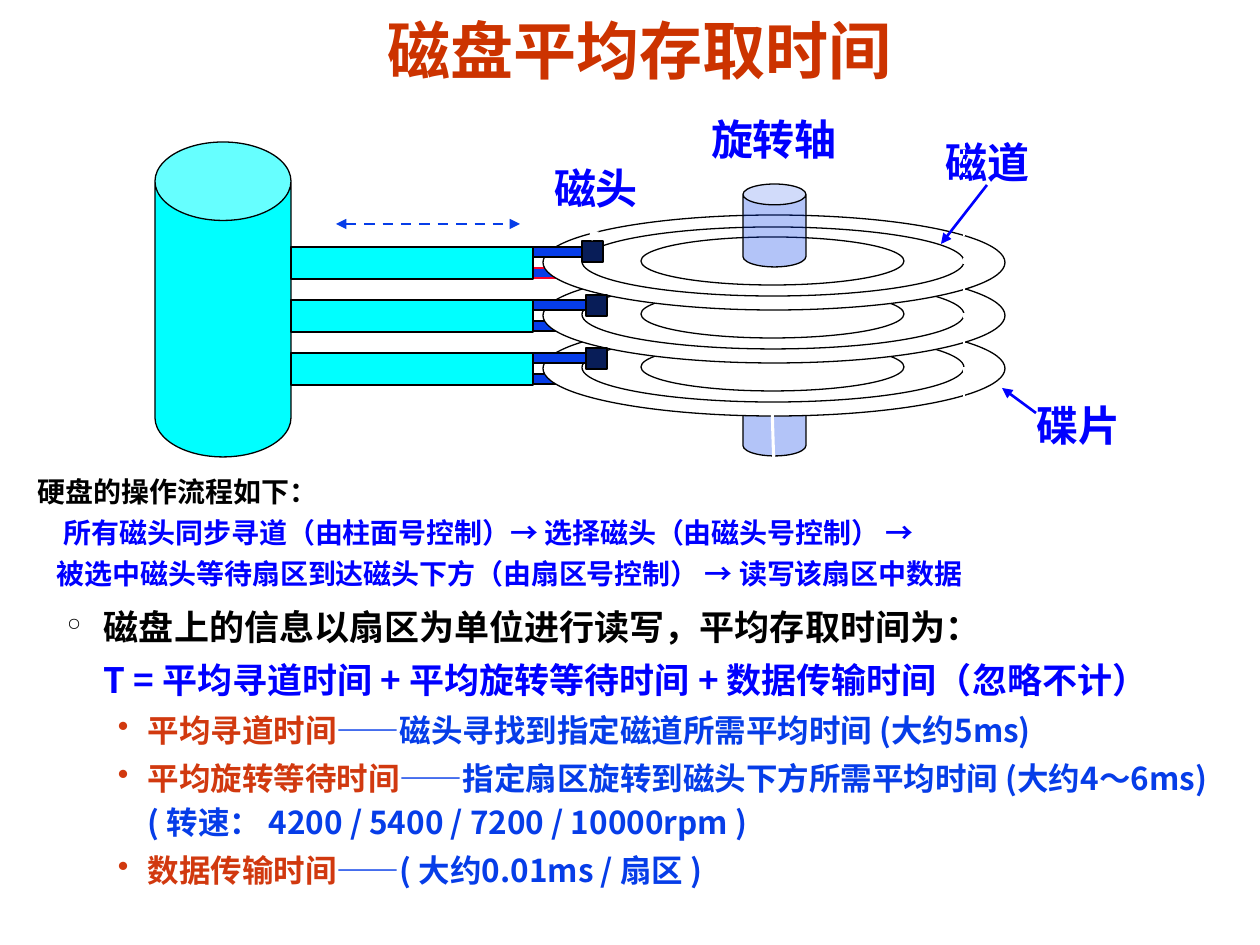
from lxml import etree
from pptx import Presentation
from pptx.dml.color import RGBColor
from pptx.enum.dml import MSO_LINE
from pptx.enum.shapes import MSO_CONNECTOR, MSO_SHAPE
from pptx.enum.text import MSO_ANCHOR, PP_ALIGN
from pptx.oxml.ns import qn
from pptx.util import Pt

SCALE = 914400 / 126
CAN, OVAL, RECT = MSO_SHAPE.CAN, MSO_SHAPE.OVAL, MSO_SHAPE.RECTANGLE
STRAIGHT, DASH = MSO_CONNECTOR.STRAIGHT, MSO_LINE.DASH
TOP, MIDDLE = MSO_ANCHOR.TOP, MSO_ANCHOR.MIDDLE
CENTER, LEFT = PP_ALIGN.CENTER, PP_ALIGN.LEFT

BLACK = RGBColor(0x00, 0x00, 0x00)
WHITE = RGBColor(0xFF, 0xFF, 0xFF)
BLUE = RGBColor(0x00, 0x00, 0xFF)
ROYAL = RGBColor(0x06, 0x3D, 0xE8)
NAVY = RGBColor(0x08, 0x1D, 0x58)
CYAN = RGBColor(0x00, 0xFF, 0xFF)
RED = RGBColor(0xFC, 0x01, 0x28)
TITLE_RED = RGBColor(0xCC, 0x33, 0x00)
TERM_RED = RGBColor(0xD1, 0x39, 0x0F)
ARIAL, NOTO = "Arial", "Noto Sans CJK SC"


def px(length):
    return round(length * SCALE)


def add_part(slide, kind, box, fill, line=BLACK, adj=None, alpha=None):
    part = slide.shapes.add_shape(kind, *map(px, box))
    part.shadow.inherit = False
    part.fill.solid()
    part.fill.fore_color.rgb = fill
    part.line.color.rgb = line
    part.line.width = Pt(0.75)
    if adj is not None:
        part.adjustments[0] = adj
    if alpha is not None:
        color = part._element.spPr.find(qn("a:solidFill"))[0]
        etree.SubElement(color, qn("a:alpha"), val=str(alpha * 1000))


def add_line(slide, start, end, color, width, dashed=False, heads=()):
    line = slide.shapes.add_connector(STRAIGHT, *map(px, (*start, *end)))
    line.line.color.rgb = color
    line.line.width = Pt(width)
    if dashed:
        line.line.dash_style = DASH
    for head in heads:
        etree.SubElement(line.line._get_or_add_ln(), qn("a:" + head), type="triangle")
    etree.SubElement(line._element.spPr, qn("a:effectLst"))


def add_text(slide, box, anchor=TOP, inset=(13, 6)):
    frame = slide.shapes.add_textbox(*map(px, box)).text_frame
    frame.word_wrap = True
    frame.vertical_anchor = anchor
    frame.margin_left = frame.margin_right = px(inset[0])
    frame.margin_top = frame.margin_bottom = px(inset[1])
    return frame


def add_paragraph(frame, parts, size, font, spacing=1.0, before=0, align=LEFT,
                  margin=0, hanging=0, bullet=None):
    """Write one paragraph; parts is a list of (wording, colour)."""
    first = frame.paragraphs[0]
    para = frame.add_paragraph() if first.runs else first
    para.alignment = align
    para.line_spacing = spacing
    para.space_before = Pt(before)
    para.font.size, para.font.name, para.font.bold = Pt(size), font, True
    props = para._p.get_or_add_pPr()
    props.set("marL", str(px(margin)))
    props.set("indent", str(-px(hanging)))
    if bullet:
        mark = etree.Element(qn("a:buChar"), char=bullet)
        props.find(qn("a:defRPr")).addprevious(mark)
    for wording, color in parts:
        run = para.add_run()
        run.text = wording
        run.font.color.rgb = color


def add_title(slide, box):
    frame = add_text(slide, box, MIDDLE, (9, 4))
    add_paragraph(frame, [("磁盘平均存取时间", TITLE_RED)], 36, ARIAL, 0.87, align=CENTER)


def add_drive(slide, left, top):
    pitch = 53

    def at(x, y, *size):
        return (left + x, top + y, *size)

    def spindle(y):
        add_part(slide, CAN, at(588, y, 63, 83), ROYAL, adj=0.331, alpha=30)

    def platter(level):
        for x, y, w, h in ((388, 73, 462, 95), (427, 85, 382, 69), (486, 95, 263, 48)):
            add_part(slide, OVAL, at(x, y + pitch * level, w, h), WHITE)

    # Spindle foot, lower heads and platters, from the bottom up
    spindle(231)
    for level in (2, 1, 0):
        add_part(slide, RECT, at(378, 126 + pitch * level, 53, 10), ROYAL,
                 BLACK if level else RED)
    platter(2)
    platter(1)
    add_part(slide, CAN, at(0, 0, 136, 315), CYAN, adj=0.577)
    platter(0)

    # Arms with their upper heads
    for level, (x, y) in enumerate(((427, 99), (431, 153), (431, 206))):
        arm_y = 105 + pitch * level
        add_part(slide, RECT, at(136, arm_y, 242, 32), CYAN)
        add_part(slide, RECT, at(378, arm_y, 53, 10), ROYAL)
        add_part(slide, RECT, at(x, y, 21, 21), NAVY)
    spindle(42)

    # Labels
    for name, x, y, w in (("磁头", 336, 14, 210), ("磁道", 742, -12, 181),
                          ("旋转轴", 514, -35, 210), ("碟片", 837, 251, 174)):
        frame = add_text(slide, at(x, y, w, 63), MIDDLE)
        add_paragraph(frame, [(name, BLUE)], 24, ARIAL, align=CENTER)

    # Pointers and the direction of arm travel
    add_line(slide, at(809, -10), at(809, 368), WHITE, 0.75, dashed=True)
    for start, end, color, width in (
            ((441, 77), (437, 99), WHITE, 1.75),
            ((620, 362), (617, 262), WHITE, 1.75),
            ((881, 271), (847, 246), BLUE, 1.5),
            ((832, 43), (786, 102), BLUE, 1.5)):
        add_line(slide, at(*start), at(*end), color, width, heads=["tailEnd"])
    add_line(slide, at(181, 82), at(365, 82), ROYAL, 1.5, True, ["headEnd", "tailEnd"])


def add_process(slide, box):
    frame = add_text(slide, box)
    for wording, color, margin in (
            ("硬盘的操作流程如下：", BLACK, 0),
            ("所有磁头同步寻道（由柱面号控制）→ 选择磁头（由磁头号控制） →", BLUE, 26),
            ("被选中磁头等待扇区到达磁头下方（由扇区号控制） → 读写该扇区中数据", BLUE, 19)):
        add_paragraph(frame, [(wording, color)], 16, NOTO, 1.1, 2.4, margin=margin)


def add_access_time(slide, box):
    frame = add_text(slide, box, inset=(9, 4))
    add_paragraph(frame, [("磁盘上的信息以扇区为单位进行读写，平均存取时间为：", BLACK)],
                  20, NOTO, 1.15, 3, margin=37, hanging=37, bullet="°")
    add_paragraph(frame, [("T = 平均寻道时间 + 平均旋转等待时间 + 数据传输时间（忽略不计）", BLUE)],
                  20, NOTO, 1.15, 3, margin=37)
    for term, meaning in (
            ("平均寻道时间", "——磁头寻找到指定磁道所需平均时间 (大约5ms)"),
            ("平均旋转等待时间", "——指定扇区旋转到磁头下方所需平均时间 (大约4～6ms) "
                         "( 转速： 4200 / 5400 / 7200 / 10000rpm )"),
            ("数据传输时间", "——( 大约0.01ms / 扇区 )")):
        add_paragraph(frame, [(term, TERM_RED), (meaning, ROYAL)], 18, NOTO, 1.15, 2.7,
                      margin=81, hanging=30, bullet="•")


deck = Presentation()
deck.slide_width, deck.slide_height = px(1260), px(945)
slide = deck.slides.add_slide(deck.slide_layouts[6])
add_title(slide, (33, 18, 1213, 73))
add_access_time(slide, (58, 595, 1171, 291))
add_drive(slide, 155, 142)
add_process(slide, (25, 465, 1188, 140))
deck.save("out.pptx")
